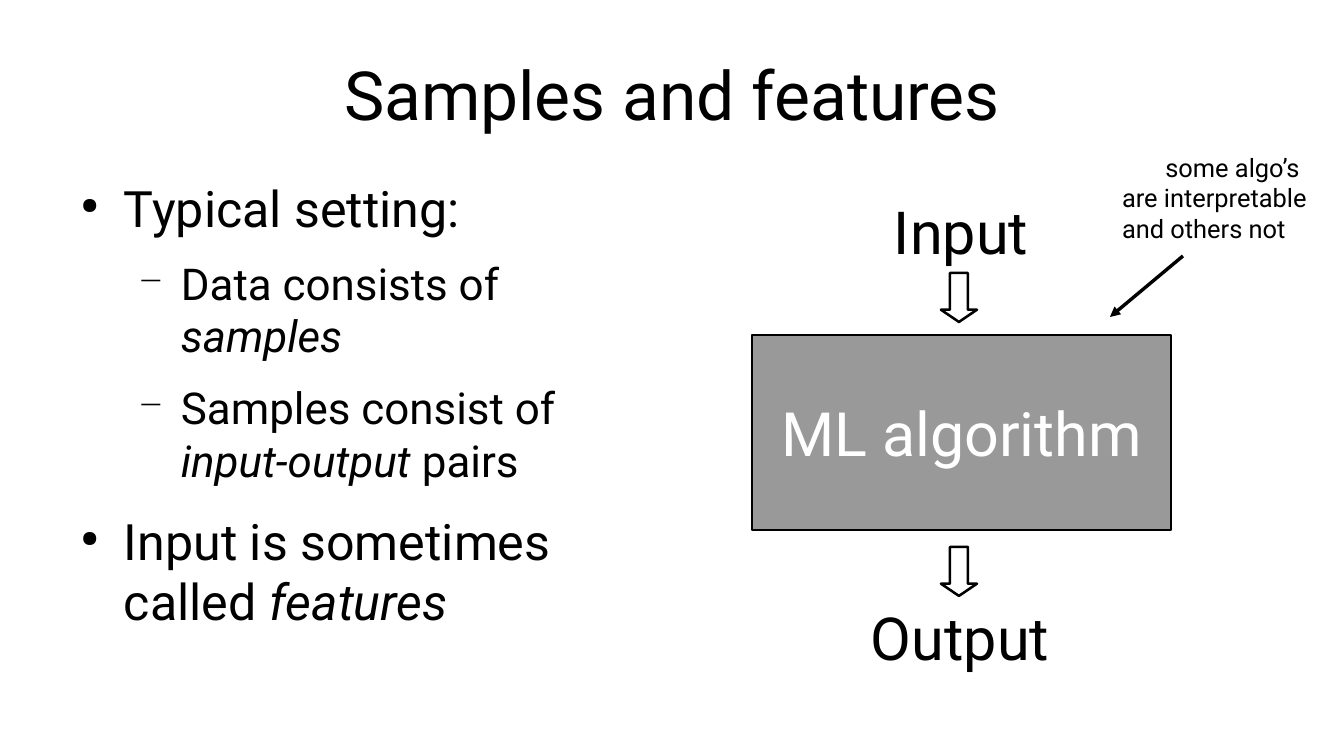
from lxml.etree import SubElement
from pptx import Presentation
from pptx.dml.color import RGBColor
from pptx.enum.shapes import MSO_CONNECTOR, MSO_SHAPE
from pptx.enum.text import MSO_ANCHOR, PP_ALIGN
from pptx.oxml.ns import qn
from pptx.util import Pt

PX = 914400 / 122


class Theme:
    font = "Roboto"
    ink = RGBColor(0x00, 0x00, 0x00)
    box_fill = RGBColor(0x99, 0x99, 0x99)
    box_text = RGBColor(0xFF, 0xFF, 0xFF)
    title, point, subpoint = 40, 29.6, 25.9
    algorithm, label, note = 36, 35, 15
    outline = 1.5


def px(*lengths):
    return [round(length * PX) for length in lengths]


def add_run(paragraph, text, size, color=Theme.ink, italic=False):
    run = paragraph.add_run()
    run.text = text
    run.font.name = Theme.font
    run.font.size = Pt(size)
    run.font.color.rgb = color
    run.font.italic = italic


prs = Presentation()
prs.slide_width, prs.slide_height = px(1344, 756)
slide = prs.slides.add_slide(prs.slide_layouts[6])
shapes = slide.shapes

# Title
title = shapes.add_textbox(*px(67, 30, 1210, 127)).text_frame
title.margin_left = title.margin_right = title.margin_top = title.margin_bottom = 0
title.word_wrap = True
title.vertical_anchor = MSO_ANCHOR.MIDDLE
title.paragraphs[0].alignment = PP_ALIGN.CENTER
add_run(title.paragraphs[0], "Samples and features", Theme.title)

# Bulleted outline: level, then (text, italic) pieces
outline = [
    (0, [("Typical setting:", False)]),
    (1, [("Data consists of ", False), ("samples", True)]),
    (1, [("Samples consist of ", False), ("input-output", True), (" pairs", False)]),
    (0, [("Input is sometimes called ", False), ("features", True)]),
]
# Type size, space before, bullet, bullet size in percent
levels = [(Theme.point, 14.2, "●", 45), (Theme.subpoint, 11.3, "−", 75)]

body = shapes.add_textbox(*px(67, 177, 590, 482)).text_frame
body.margin_left = body.margin_right = body.margin_top = body.margin_bottom = 0
body.word_wrap = True
for index, (level, pieces) in enumerate(outline):
    size, space, bullet, percent = levels[level]
    point = body.add_paragraph() if index else body.paragraphs[0]
    point.level = level
    if index:
        point.space_before = Pt(space)
    indent, hanging = px(57 * (level + 1), -43)
    properties = point._p.get_or_add_pPr()
    properties.set("marL", str(indent))
    properties.set("indent", str(hanging))
    bullet_color = SubElement(properties, qn("a:buClr"))
    SubElement(bullet_color, qn("a:srgbClr"), val=str(Theme.ink))
    SubElement(properties, qn("a:buSzPct"), val=str(percent * 1000))
    SubElement(properties, qn("a:buChar"), char=bullet)
    for text, italic in pieces:
        add_run(point, text, size, italic=italic)

# Algorithm box
algorithm = shapes.add_shape(MSO_SHAPE.RECTANGLE, *px(752, 335, 419, 195))
algorithm.shadow.inherit = False
algorithm.fill.solid()
algorithm.fill.fore_color.rgb = Theme.box_fill
algorithm.line.color.rgb = Theme.ink
algorithm.line.width = Pt(Theme.outline)
algorithm.text_frame.word_wrap = False
algorithm.text_frame.vertical_anchor = MSO_ANCHOR.MIDDLE
algorithm_name = algorithm.text_frame.paragraphs[0]
algorithm_name.alignment = PP_ALIGN.CENTER
add_run(algorithm_name, "ML algorithm", Theme.algorithm, Theme.box_text)

# Input and output labels with their arrows
for name, left, top, width, arrow_top in [
    ("Input", 882, 189, 176, 273),
    ("Output", 859, 595, 223, 547),
]:
    label = shapes.add_textbox(*px(left, top, width, 93)).text_frame
    label.word_wrap = False
    add_run(label.paragraphs[0], name, Theme.label)

    flow = shapes.add_shape(MSO_SHAPE.DOWN_ARROW, *px(941, arrow_top, 36, 49))
    flow.adjustments[0] = 0.5
    flow.adjustments[1] = 0.34
    flow.shadow.inherit = False
    flow.fill.background()
    flow.line.color.rgb = Theme.ink
    flow.line.width = Pt(Theme.outline)

# Side note and its pointer
note = shapes.add_textbox(*px(1110, 146, 245, 127)).text_frame
note.word_wrap = True
for index, (text, alignment) in enumerate([
    ("some algo’s", PP_ALIGN.CENTER),
    ("are interpretable", PP_ALIGN.LEFT),
    ("and others not", PP_ALIGN.LEFT),
]):
    note_line = note.add_paragraph() if index else note.paragraphs[0]
    note_line.alignment = alignment
    add_run(note_line, text, Theme.note)

pointer = shapes.add_connector(MSO_CONNECTOR.STRAIGHT, *px(1183, 256, 1110, 317))
pointer.line.color.rgb = Theme.ink
pointer.line.width = Pt(0)
SubElement(pointer.line._get_or_add_ln(), qn("a:tailEnd"), type="triangle")
SubElement(pointer._element.spPr, qn("a:effectLst"))

prs.save("out.pptx")
